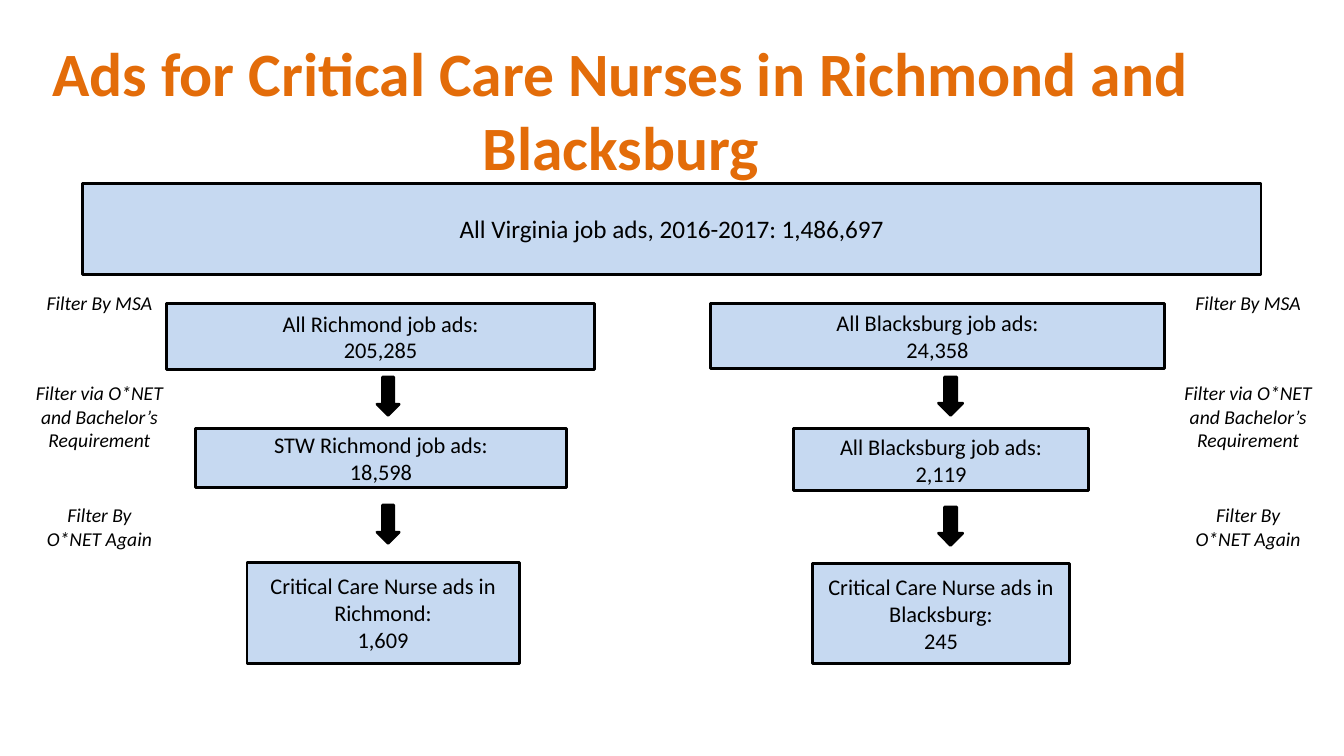
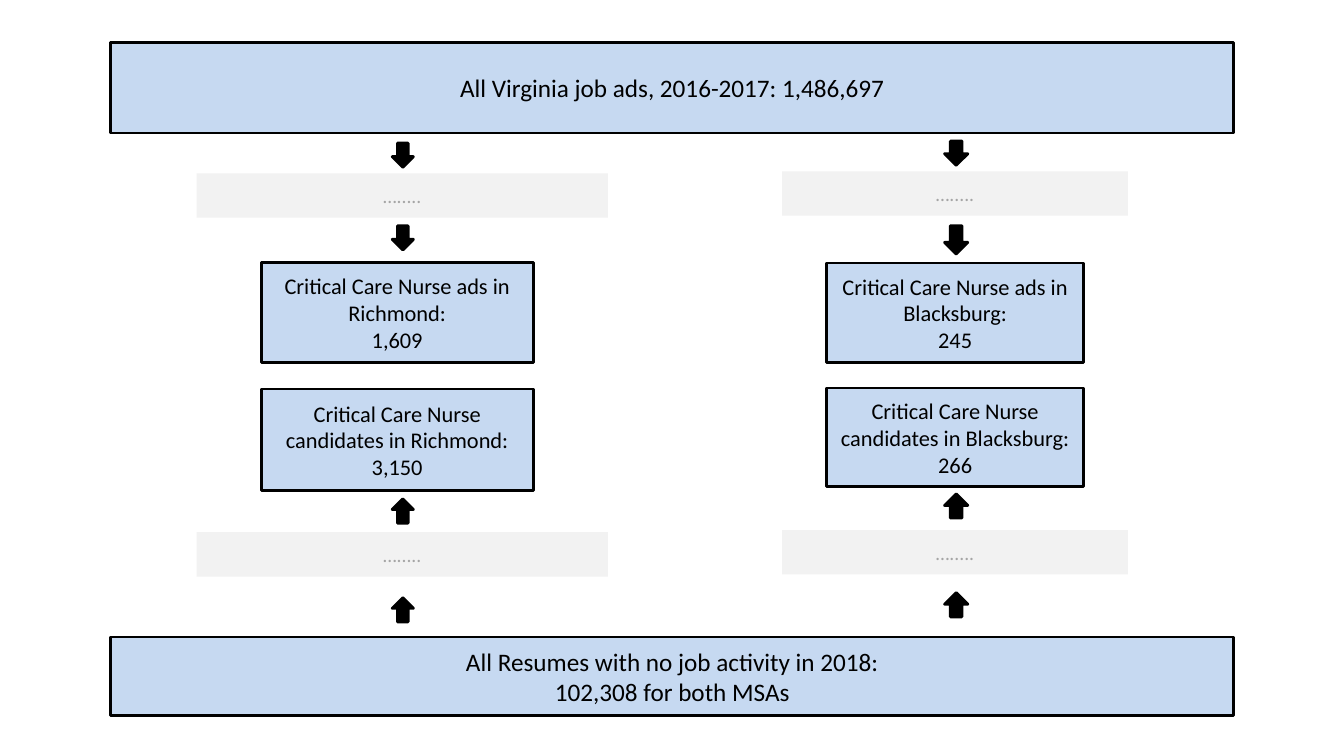
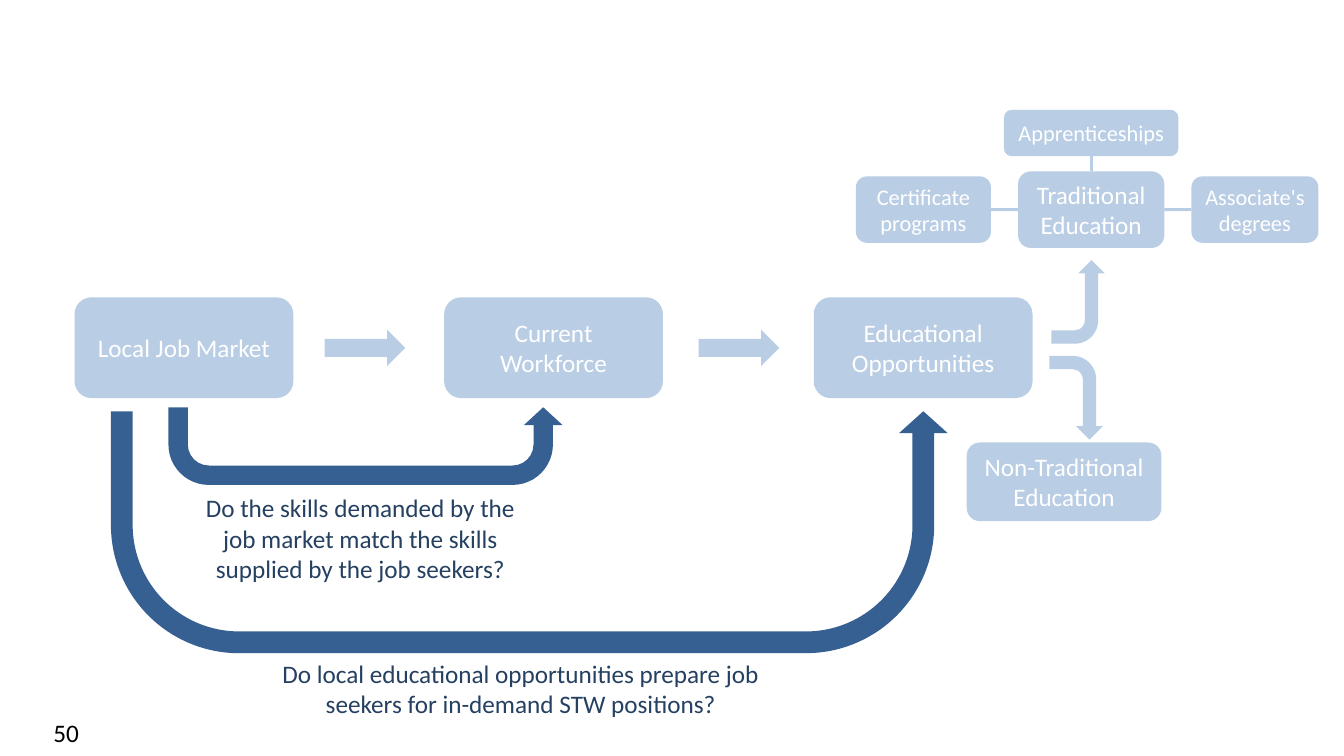
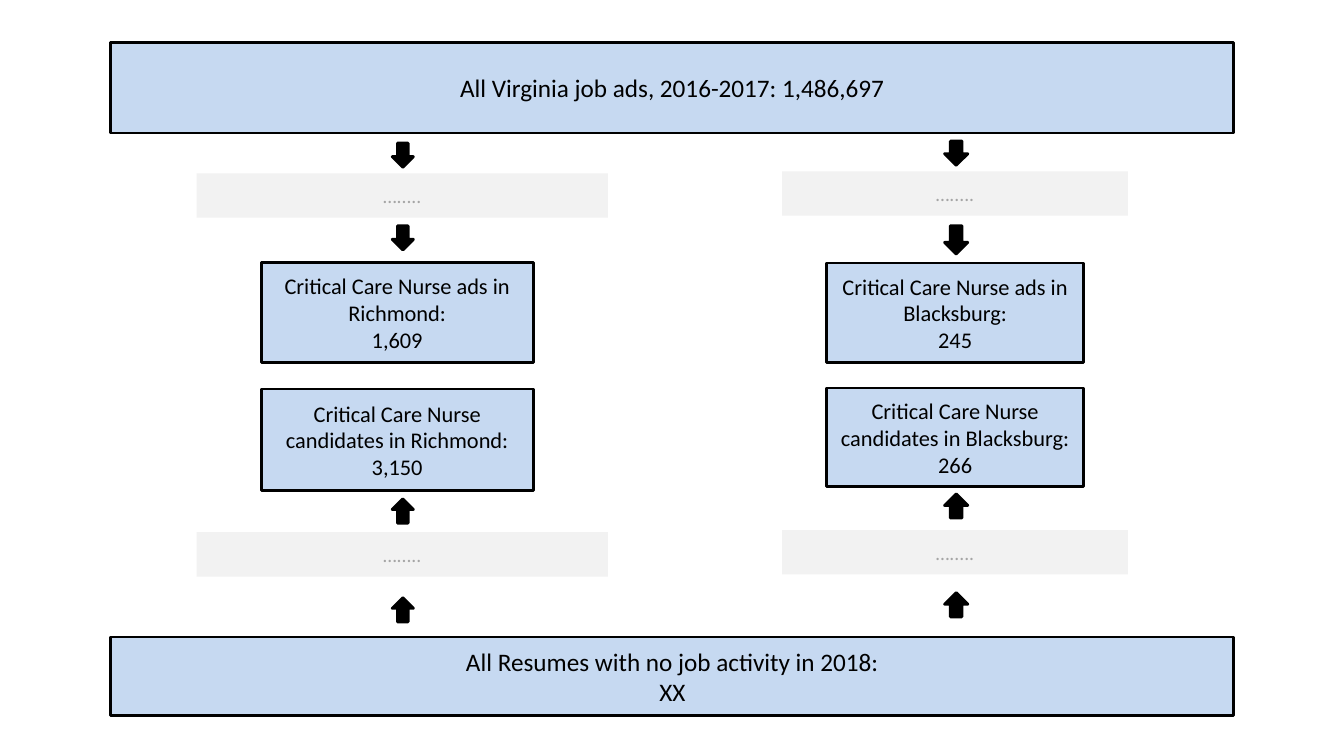
"""Build four slides on job ads, candidates and education for critical care nurses."""
from lxml import etree
from pptx import Presentation
from pptx.dml.color import RGBColor
from pptx.enum.shapes import MSO_CONNECTOR, MSO_SHAPE
from pptx.enum.text import MSO_ANCHOR, PP_ALIGN
from pptx.oxml.ns import qn
from pptx.util import Inches, Pt

RECTANGLE = MSO_SHAPE.RECTANGLE
ROUNDED = MSO_SHAPE.ROUNDED_RECTANGLE
DOWN = MSO_SHAPE.DOWN_ARROW
UP = MSO_SHAPE.UP_ARROW
U_TURN = MSO_SHAPE.U_TURN_ARROW
BENT = MSO_SHAPE.BENT_ARROW
STRAIGHT = MSO_CONNECTOR.STRAIGHT
TOP, MIDDLE = MSO_ANCHOR.TOP, MSO_ANCHOR.MIDDLE
LEFT, CENTER = PP_ALIGN.LEFT, PP_ALIGN.CENTER

FONT = "Calibri"
COLORS = {
    "title": "E36C09",
    "box": "C6D9F1",
    "black": "000000",
    "white": "FFFFFF",
    "skipped": "F2F2F2",
    "dots": "A5A5A5",
    "node": "B9CDE5",
    "question_arrow": "376092",
    "question": "254061",
}

presentation = Presentation()
presentation.slide_width = Inches(13.33)
presentation.slide_height = Inches(7.5)
COLUMN = presentation.slide_width / 100
ROW = presentation.slide_height / 100
BLANK = presentation.slide_layouts[6]


def write_text(shape, text, size, color, anchor=MIDDLE, align=CENTER, bold=None, italic=None, inset=0.1):
    """Fill a shape with text in one format."""
    frame = shape.text_frame
    frame.text = text
    frame.word_wrap = True
    frame.vertical_anchor = anchor
    frame.margin_left = frame.margin_right = Inches(inset)
    for paragraph in frame.paragraphs:
        paragraph.alignment = align
        for run in paragraph.runs:
            run.font.name = FONT
            run.font.size = Pt(size)
            run.font.bold = bold
            run.font.italic = italic
            run.font.color.rgb = RGBColor.from_string(COLORS[color])


def add_block(slide, kind, left, top, width, height, fill, outlined=False):
    """Add a flat shape placed in grid columns and rows."""
    shape = slide.shapes.add_shape(
        kind, round(left * COLUMN), round(top * ROW), round(width * COLUMN), round(height * ROW))
    shape.shadow.inherit = False
    shape.fill.solid()
    shape.fill.fore_color.rgb = RGBColor.from_string(COLORS[fill])
    if outlined:
        shape.line.color.rgb = RGBColor.from_string(COLORS["black"])
        shape.line.width = Pt(2)
    else:
        shape.line.fill.background()
    return shape


ALL_ADS = "All Virginia job ads, 2016-2017: 1,486,697"
RICHMOND_ADS = "Critical Care Nurse ads in Richmond:\n1,609"
BLACKSBURG_ADS = "Critical Care Nurse ads in Blacksburg:\n245"

slide = presentation.slides.add_slide(BLANK)
title = slide.shapes.add_textbox(0, round(4 * ROW), round(92.4 * COLUMN), round(16.67 * ROW))
write_text(title, "Ads for Critical Care Nurses in Richmond and Blacksburg", 44, "title", TOP, bold=True)
all_ads = add_block(slide, RECTANGLE, 6.15, 24.27, 87.68, 12, "box", True)
write_text(all_ads, ALL_ADS, 18, "black")

funnel_steps = [
    (12.38, 40.13, 31.88, 8.8, "All Richmond job ads:\n205,285"),
    (14.55, 56.67, 27.6, 7.87, "STW Richmond job ads:\n18,598"),
    (18.38, 74.4, 20.25, 13.33, RICHMOND_ADS),
    (52.88, 40.13, 33.75, 8.67, "All Blacksburg job ads:\n24,358"),
    (59.03, 56.67, 21.98, 8.27, "All Blacksburg job ads:\n2,119"),
    (60.45, 74.53, 19.13, 13.2, BLACKSBURG_ADS),
]
for left, top, width, height, text in funnel_steps:
    step = add_block(slide, RECTANGLE, left, top, width, height, "box", True)
    write_text(step, text, 16, "black")

for left, width, second_top in [(28.05, 1.65, 66.8), (69.83, 1.8, 67.07)]:
    for top in (49.87, second_top):
        add_block(slide, DOWN, left, top, width, 5.07, "black", True)

filters = [
    (37.87, 9.38, 4.53, "Filter By MSA"),
    (49.73, 12.15, 10.8, "Filter via O*NET and Bachelor’s Requirement"),
    (65.87, 9.38, 7.6, "Filter By O*NET Again"),
]
for top, width, height, text in filters:
    for center in (7.4, 92.87):
        label = add_block(slide, RECTANGLE, center - width / 2, top, width, height, "white")
        write_text(label, text, 14, "black", TOP, italic=True, inset=0.05)

regions = [
    {
        "arrow": (29.18, 1.58),
        "arrows": [(DOWN, 18.93, 3.2), (DOWN, 29.87, 3.2), (UP, 66, 3.2), (UP, 79.07, 3.2)],
        "skipped": (14.63, 30.6),
        "skipped_tops": (22.93, 70.4),
        "box": (19.43, 20.25),
        "boxes": [
            (34.67, 13.33, RICHMOND_ADS),
            (51.47, 13.47, "Critical Care Nurse candidates in Richmond:\n3,150"),
        ],
    },
    {
        "arrow": (70.28, 1.73),
        "arrows": [(DOWN, 18.67, 3.2), (DOWN, 29.87, 3.73), (UP, 65.33, 3.2), (UP, 78.4, 3.2)],
        "skipped": (58.2, 25.73),
        "skipped_tops": (22.67, 70.13),
        "box": (61.5, 19.13),
        "boxes": [
            (34.8, 13.2, BLACKSBURG_ADS),
            (51.33, 13.07, "Critical Care Nurse candidates in Blacksburg:\n266"),
        ],
    },
]
comparison_slide = presentation.slides.add_slide(BLANK)
cycle_slide = presentation.slides.add_slide(BLANK)
draft_slide = presentation.slides.add_slide(BLANK)

for slide, resume_count in [(comparison_slide, "102,308 for both MSAs"), (draft_slide, "XX")]:
    resumes = "All Resumes with no job activity in 2018:\n" + resume_count
    for top, height, text in [(5.6, 12, ALL_ADS), (84.27, 10.4, resumes)]:
        bar = add_block(slide, RECTANGLE, 8.25, top, 83.55, height, "box", True)
        write_text(bar, text, 18, "black")
    for region in regions:
        left, width = region["box"]
        for top, height, text in region["boxes"]:
            box = add_block(slide, RECTANGLE, left, top, width, height, "box", True)
            write_text(box, text, 16, "black")
        left, width = region["skipped"]
        for top in region["skipped_tops"]:
            skipped = add_block(slide, RECTANGLE, left, top, width, 5.87, "skipped")
            write_text(skipped, "….....", 14, "dots")
        left, width = region["arrow"]
        for kind, top, height in region["arrows"]:
            add_block(slide, kind, left, top, width, height, "black", True)

slide = cycle_slide
question_arrows = [
    (12.53, 53.87, 29.33, 10.27, (0.25, 0.25, 0.23, 0.52, 1)),
    (8.25, 54.4, 62.25, 32, (0.09, 0.1, 0.09, 0.53, 1)),
]
for left, top, width, height, adjustments in question_arrows:
    arrow = add_block(slide, U_TURN, left, top, width, height, "question_arrow")
    arrow.rotation = 180
    arrow._element.spPr.xfrm.set("flipH", "1")
    for index, value in enumerate(adjustments):
        arrow.adjustments[index] = value

for index, text in enumerate(["Local Job Market", "Current Workforce", "Educational Opportunities"]):
    stage = add_block(slide, ROUNDED, 5.55 + 27.5 * index, 39.33, 16.28, 13.33, "node")
    write_text(stage, text, 18, "white")
for left in (25.8, 53.63):
    add_block(slide, DOWN, left, 40.67, 2.7, 10.67, "node").rotation = 270

education_nodes = [
    (75.75, 22.67, 10.88, 10.13, "Traditional Education", 18, 0.1),
    (74.7, 14.53, 12.98, 6.13, "Apprenticeships", 16, 0.05),
    (88.65, 23.33, 9.45, 8.8, "Associate's degrees", 16, 0.05),
    (63.68, 23.33, 10.05, 8.8, "Certificate programs", 16, 0.05),
    (71.93, 58.53, 14.48, 10.4, "Non-Traditional Education", 18, 0.1),
]
nodes = []
for left, top, width, height, text, size, inset in education_nodes:
    node = add_block(slide, ROUNDED, left, top, width, height, "node")
    write_text(node, text, size, "white", inset=inset)
    nodes.append(node)

traditional, apprenticeships, associate, certificate = nodes[:4]
for target, start_site, end_site in [(associate, 3, 1), (apprenticeships, 0, 2), (certificate, 1, 3)]:
    connector = slide.shapes.add_connector(STRAIGHT, 0, 0, 0, 0)
    connector.begin_connect(traditional, start_site)
    connector.end_connect(target, end_site)
    connector.line.color.rgb = RGBColor.from_string(COLORS["node"])
    connector.line.width = Pt(2)
    etree.SubElement(connector._element.spPr, qn("a:effectLst"))

to_traditional = add_block(slide, BENT, 77.1, 36.4, 6.23, 7.07, "node")
to_traditional.rotation = 270
to_traditional._element.spPr.xfrm.set("flipV", "1")
add_block(slide, BENT, 76.95, 49.07, 6.23, 7.07, "node").rotation = 90

captions = [
    (18.9, 86.4, 39.68, 9.47, CENTER, "question",
     "Do local educational opportunities prepare job seekers for in-demand STW positions?"),
    (13.5, 64.53, 26.63, 13.47, CENTER, "question",
     "Do the skills demanded by the job market match the skills supplied by the job seekers?"),
    (3.23, 94.27, 23.33, 5.33, LEFT, "black", "50"),
]
for left, top, width, height, align, color, text in captions:
    caption = slide.shapes.add_textbox(
        round(left * COLUMN), round(top * ROW), round(width * COLUMN), round(height * ROW))
    write_text(caption, text, 18, color, TOP, align)

presentation.save("out.pptx")
